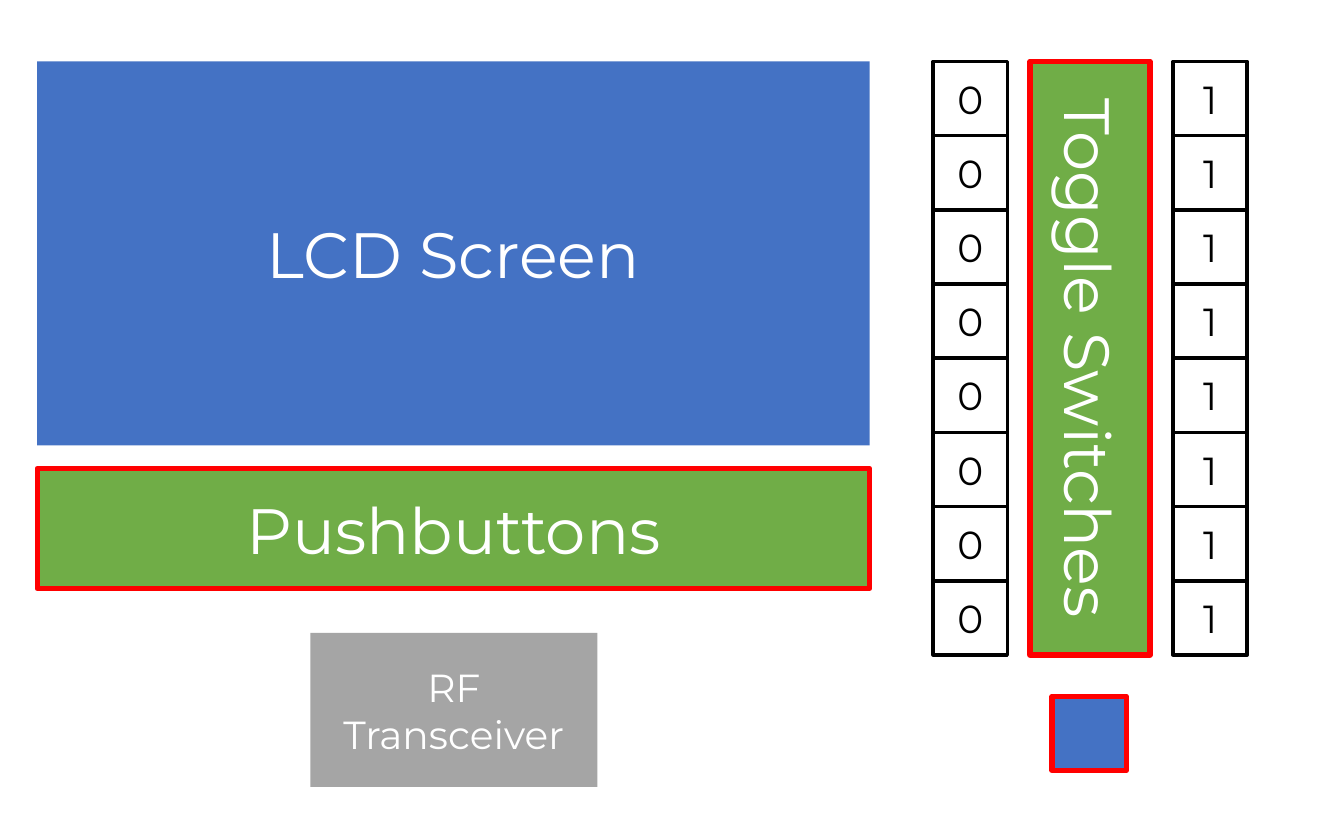
from dataclasses import dataclass

from pptx import Presentation
from pptx.dml.color import RGBColor
from pptx.enum.shapes import MSO_SHAPE
from pptx.enum.text import MSO_ANCHOR, PP_ALIGN
from pptx.shapes.autoshape import Shape
from pptx.shapes.shapetree import GroupShapes, SlideShapes
from pptx.util import Cm, Pt

RECTANGLE = MSO_SHAPE.RECTANGLE
MIDDLE = MSO_ANCHOR.MIDDLE
CENTER = PP_ALIGN.CENTER

FONT = "Montserrat"
BLUE, GREEN, GREY = "4472C4", "70AD47", "A5A5A5"
RED, BLACK, WHITE = "FF0000", "000000", "FFFFFF"

# Lengths in centimetres
TOP = 0.61
LEFT = 0.37
SCREEN_WIDTH = 8.26
BAR_LENGTH, BAR_DEPTH = 5.89, 1.19
SWITCH_COUNT = 8
CELL = BAR_LENGTH / SWITCH_COUNT


@dataclass(frozen=True)
class Block:
    """One labelled rectangle of the board layout."""
    left: float
    top: float
    width: float
    height: float
    label: str = ""
    size: float = 18
    fill: str | None = None
    line: str | None = None
    line_width: float = 1.5
    text_color: str = WHITE
    rotation: float = 0


def rgb(value: str) -> RGBColor:
    return RGBColor.from_string(value)


def draw_block(shapes: SlideShapes | GroupShapes, block: Block) -> Shape:
    shape = shapes.add_shape(RECTANGLE, Cm(block.left), Cm(block.top),
                             Cm(block.width), Cm(block.height))
    shape.rotation = block.rotation
    shape.shadow.inherit = False
    if block.fill:
        shape.fill.solid()
        shape.fill.fore_color.rgb = rgb(block.fill)
    else:
        shape.fill.background()
    if block.line:
        shape.line.color.rgb = rgb(block.line)
        shape.line.width = Pt(block.line_width)
    else:
        shape.line.fill.background()
    if block.label:
        write_label(shape, block)
    return shape


def write_label(shape: Shape, block: Block) -> None:
    frame = shape.text_frame
    frame.text = block.label
    frame.word_wrap = True
    frame.vertical_anchor = MIDDLE
    frame.margin_left = frame.margin_right = Cm(0.2)
    frame.margin_top = frame.margin_bottom = 0
    paragraph = frame.paragraphs[0]
    paragraph.alignment = CENTER
    font = paragraph.runs[0].font
    font.name = FONT
    font.size = Pt(block.size)
    font.color.rgb = rgb(block.text_color)


def switch_column(left: float, digit: str) -> list[Block]:
    return [Block(left, TOP + row * CELL, CELL, CELL, digit, 11,
                  line=BLACK, line_width=1, text_color=BLACK)
            for row in range(SWITCH_COUNT)]


def main() -> None:
    presentation = Presentation()
    presentation.slide_width = Cm(13.335)
    presentation.slide_height = Cm(8.255)
    board = presentation.slides.add_slide(presentation.slide_layouts[6])

    # Screen
    draw_block(board.shapes, Block(LEFT, TOP, SCREEN_WIDTH, 3.81,
                                   "LCD Screen", fill=BLUE))

    # Toggle switches with their two positions and the single button below
    toggles = board.shapes.add_group_shape()
    toggle_bar = Block(7.87, 2.96, BAR_LENGTH, BAR_DEPTH, "Toggle Switches",
                       fill=GREEN, line=RED, rotation=90)
    button = Block(10.44, 6.91, CELL, CELL, fill=BLUE, line=RED)
    for block in [toggle_bar, *switch_column(11.64, "1"),
                  *switch_column(9.26, "0"), button]:
        draw_block(toggles.shapes, block)

    # Pushbuttons and radio
    draw_block(board.shapes, Block(LEFT, 4.65, SCREEN_WIDTH, BAR_DEPTH,
                                   "Pushbuttons", fill=GREEN, line=RED))
    draw_block(board.shapes, Block(3.08, 6.28, 2.85, 1.53,
                                   "RF Transceiver", 11, fill=GREY))

    presentation.save("out.pptx")


if __name__ == "__main__":
    main()
